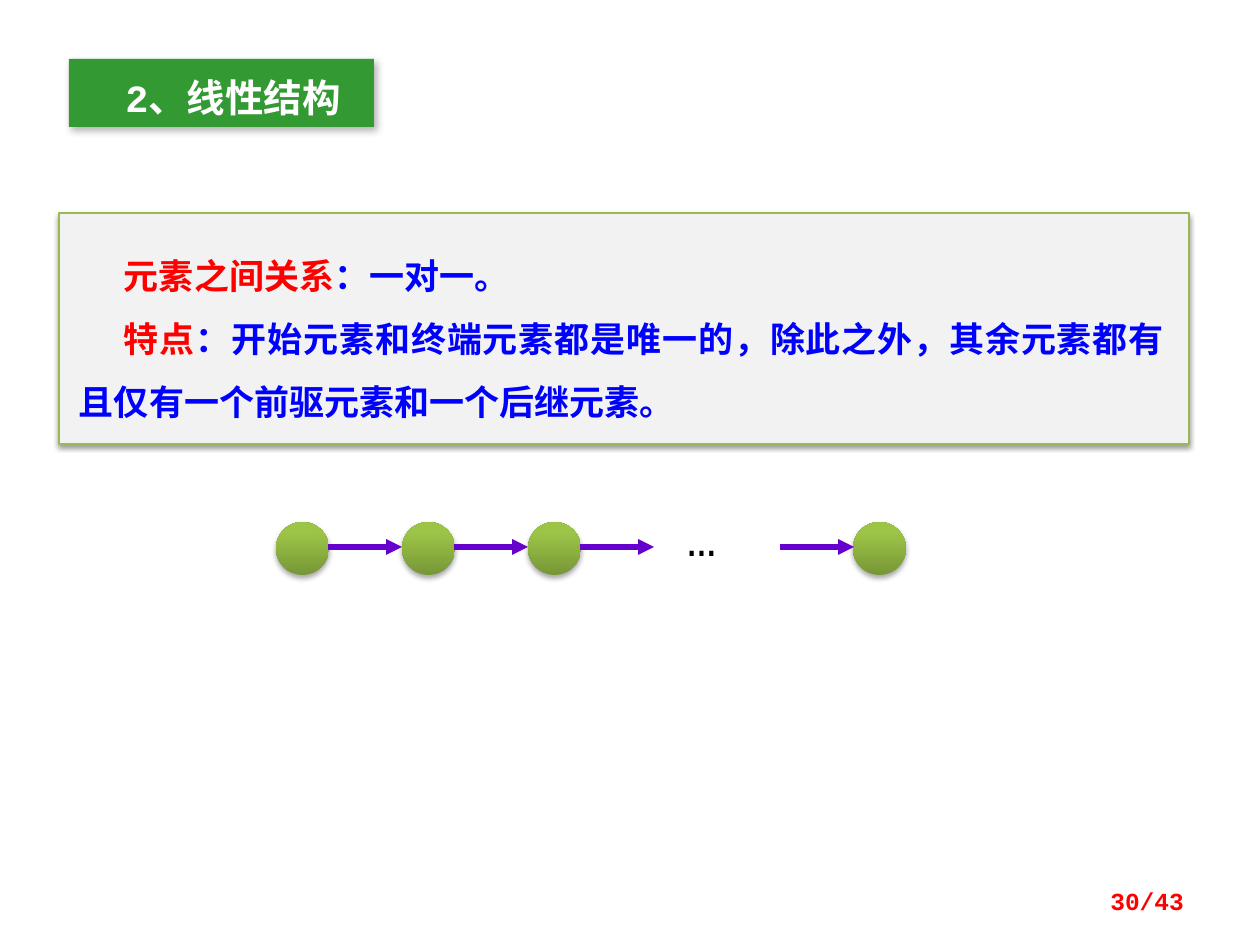
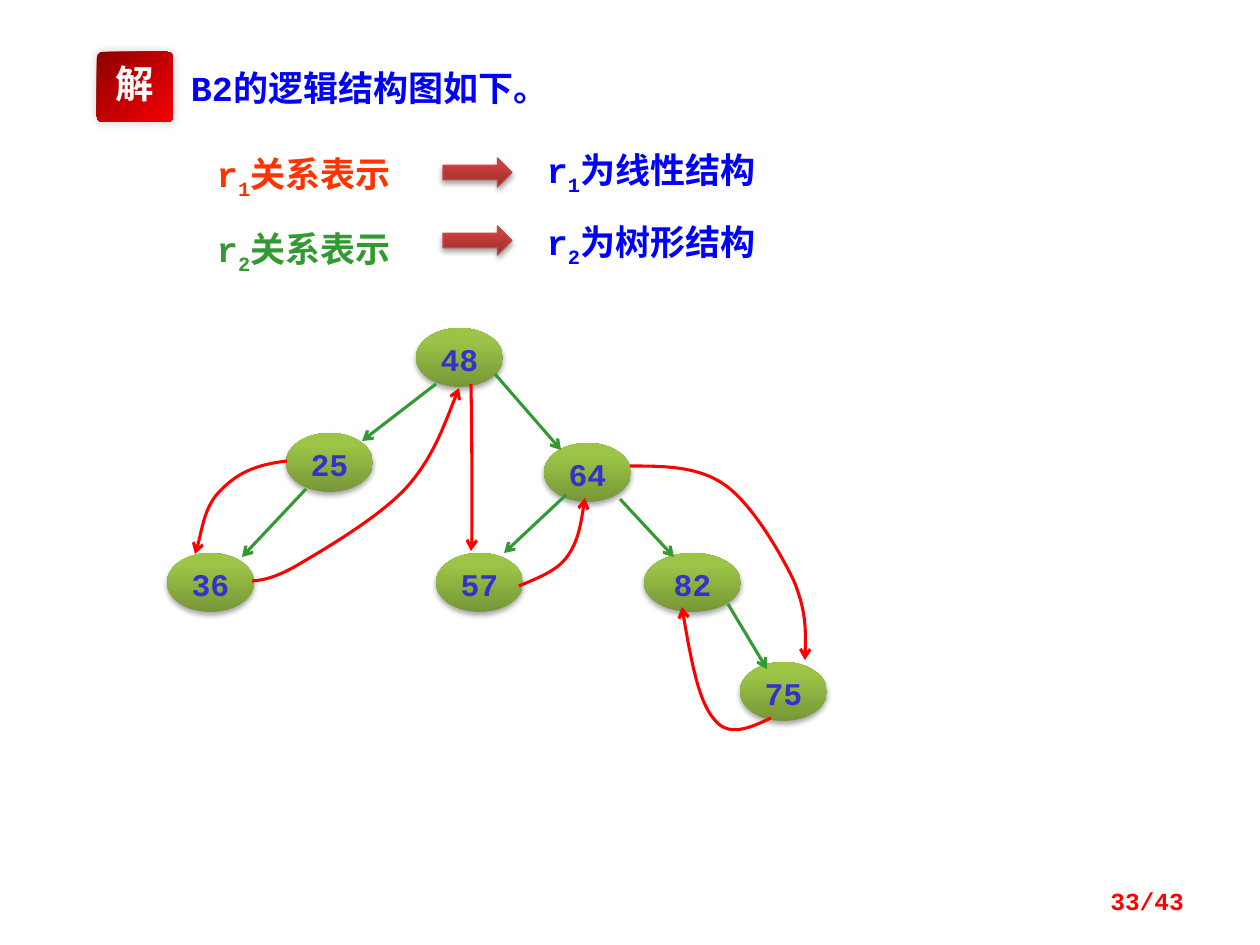
from lxml import etree
from pptx import Presentation
from pptx import util as u
from pptx.dml.color import RGBColor
from pptx.enum import shapes, text
from pptx.oxml import ns

PX = 914400 / 126
MONO, SANS = "Courier New", "Noto Sans CJK SC"
WHITE = RGBColor(0xFF, 0xFF, 0xFF)
BLACK = RGBColor(0, 0, 0)
RED = RGBColor(0xFF, 0, 0)
BLUE = RGBColor(0, 0, 0xFF)
GREEN = RGBColor(0x33, 0x99, 0x33)
ORANGE = RGBColor(0xFF, 0x33, 0)
VIOLET = RGBColor(0x66, 0, 0xCC)
INDIGO = RGBColor(0x33, 0x33, 0xCC)
GREY = RGBColor(0xF2, 0xF2, 0xF2)
EDGE = RGBColor(0x98, 0xB9, 0x55)
RIM = RGBColor(0xBF, 0x4C, 0x48)
LEAF = (RGBColor(0x77, 0x97, 0x37), RGBColor(0x9C, 0xC4, 0x47), 0.8, 90)
BRICK = (RGBColor(0x9C, 0x2F, 0x2D), RGBColor(0xCC, 0x3E, 0x3A), 0.8, 90)
RUBY = (RGBColor(0x8F, 0, 0), RGBColor(0xF6, 0, 4), 1, 315)
SOFT = (35, 3.1, 1.8, 90)
KIND = shapes.MSO_SHAPE
ALIGN = text.PP_ALIGN
MID = text.MSO_ANCHOR.MIDDLE
PAD = (13, 6, 13, 6)


def emu(*vals):
    return [round(v * PX) for v in vals]


def sub(root, tag, **atts):
    return etree.SubElement(root, ns.qn(tag), atts)


class Deck:
    """Holds the deck's style and draws on the current slide."""

    def __init__(self):
        self.prs = Presentation()
        self.prs.slide_width, self.prs.slide_height = emu(1260, 945)

    def page(self, num):
        self.slide = self.prs.slides.add_slide(self.prs.slide_layouts[6])
        self.art = self.slide.shapes
        self.label((903, 876, 294, 50), [f"{num}/43"], RED, size=14,
                   align=ALIGN.RIGHT, anchor=MID)

    def words(self, shape, paras, color, size=20, font=MONO, bold=True,
              align=ALIGN.LEFT, anchor=text.MSO_ANCHOR.TOP, space=None,
              indent=0, pad=PAD, wrap=True):
        frame = shape.text_frame
        frame.word_wrap = wrap
        frame.vertical_anchor = anchor
        (frame.margin_left, frame.margin_top,
         frame.margin_right, frame.margin_bottom) = emu(*pad)
        for i, runs in enumerate(paras):
            para = frame.add_paragraph() if i else frame.paragraphs[0]
            para.alignment = align
            para.line_spacing = space
            if indent:
                para._p.get_or_add_pPr().set("indent", str(emu(indent)[0]))
            face = para.font
            face.name, face.size, face.bold = font, u.Pt(size), bold
            face.color.rgb = color
            for part in [runs] if isinstance(runs, str) else runs:
                piece, style = (part, None) if isinstance(part, str) else part
                run = para.add_run()
                run.text = piece
                if style == "sub":
                    run._r.get_or_add_rPr().set("baseline", "-25000")
                elif style is not None:
                    run.font.color.rgb = style

    def label(self, box, paras, color, **style):
        self.words(self.art.add_textbox(*emu(*box)), paras, color, **style)

    def shape(self, kind, box, fill, shade, line=None):
        shape = self.art.add_shape(kind, *emu(*box))
        if len(fill) == 4:
            start, end, stop, angle = fill
            shape.fill.gradient()
            shape.fill.gradient_angle = angle
            first, last = shape.fill.gradient_stops
            first.color.rgb, last.color.rgb = start, end
            first.position, last.position = 0, stop
        else:
            shape.fill.solid()
            shape.fill.fore_color.rgb = fill
        if line is None:
            shape.line.fill.background()
        else:
            shape.line.color.rgb = line
            shape.line.width = u.Pt(0.75)
        self.shade(shape, *shade)
        return shape

    def shade(self, shape, alpha, blur, dist, angle):
        shape.shadow.inherit = False
        glow = shape._element.spPr.find(ns.qn("a:effectLst"))
        cast = sub(glow, "a:outerShdw", blurRad=str(u.Pt(blur)),
                   dist=str(u.Pt(dist)), dir=str(angle * 60000),
                   algn="ctr", rotWithShape="0")
        tint = sub(cast, "a:srgbClr", val=str(BLACK))
        sub(tint, "a:alpha", val=str(alpha * 1000))

    def stroke(self, item, color, width, head):
        item.line.color.rgb = color
        item.line.width = u.Pt(width)
        sub(item._element.spPr.find(ns.qn("a:ln")), "a:tailEnd", type=head)

    def arrow(self, ends, color, width, head):
        link = self.art.add_connector(shapes.MSO_CONNECTOR.STRAIGHT, *emu(*ends))
        self.stroke(link, color, width, head)
        sub(link._element.spPr, "a:effectLst")

    def curve(self, *dots):
        start, *rest = [emu(*dot) for dot in dots]
        build = self.art.build_freeform(*start, scale=1.0)
        build.add_line_segments(rest, close=False)
        shape = build.convert_to_shape()
        trail = next(shape._element.iter(ns.qn("a:path")))
        legs = trail.findall(ns.qn("a:lnTo"))
        for i in range(0, len(legs), 3):
            bend = sub(trail, "a:cubicBezTo")
            for leg in legs[i:i + 3]:
                bend.append(leg[0])
                trail.remove(leg)
        shape.fill.background()
        shape.shadow.inherit = False
        self.stroke(shape, RED, 1.75, "arrow")

    def node(self, box, name=None):
        shape = self.shape(KIND.OVAL, box, LEAF, SOFT)
        if name:
            self.words(shape, [name], INDIGO, size=18, align=ALIGN.CENTER,
                       anchor=MID, space=1.1, pad=(0, 0, 0, 0))


def linear(deck):
    deck.page(30)
    panel = deck.shape(KIND.RECTANGLE, (59, 213, 1130, 231), GREY,
                       (38, 3.1, 1.6, 90), EDGE)
    deck.words(panel, [
        [("元素之间关系", RED), "：一对一。"],
        [("特点", RED), "：开始元素和终端元素都是唯一的，除此之外，"
         "其余元素都有且仅有一个前驱元素和一个后继元素。"],
    ], BLUE, align=ALIGN.JUSTIFY, space=1.5, indent=45, pad=(20, 20, 25, 20))
    for x in (276, 402, 528, 853):
        deck.node((x, 522, 53, 53))
    for x in (328, 454, 580, 780):
        deck.arrow((x, 547, x + 74, 547), VIOLET, 3, "triangle")
    deck.label((674, 501, 83, 72), ["…"], BLACK, size=28, bold=False)
    title = deck.shape(KIND.RECTANGLE, (69, 59, 305, 68), GREEN,
                       (30, 4.5, 2.6, 53))
    deck.words(title, ["2、线性结构"], WHITE, size=22, align=ALIGN.CENTER,
               pad=(36, 15, 13, 6))


def tree(deck):
    deck.page(33)
    for name, x, y, wide in (
            ("48", 416, 328, 87), ("25", 286, 433, 87), ("36", 167, 553, 87),
            ("64", 544, 443, 87), ("57", 436, 553, 87), ("82", 644, 553, 97),
            ("75", 740, 662, 87)):
        deck.node((x, y, wide, 59), name)
    for ends in ((436, 384, 362, 441), (306, 489, 242, 557),
                 (495, 374, 561, 450), (620, 499, 674, 557),
                 (566, 495, 504, 553), (728, 604, 767, 669)):
        deck.arrow(ends, GREEN, 1.75, "arrow")
    deck.curve((287, 461), (252, 465), (236, 475), (221, 490),
               (205, 505), (200, 541), (195, 554))
    deck.curve((252, 581), (263, 580), (276, 578), (301, 563),
               (328, 547), (379, 517), (406, 488),
               (432, 459), (445, 423), (459, 388))
    deck.curve((471, 384), (472, 437), (472, 490), (472, 518),
               (472, 546), (472, 548), (471, 551))
    deck.curve((519, 586), (538, 578), (557, 571), (567, 557),
               (578, 542), (582, 519), (585, 498))
    deck.curve((771, 718), (750, 728), (728, 738), (714, 719),
               (699, 702), (690, 655), (682, 607))
    deck.curve((630, 466), (664, 466), (698, 466), (725, 485),
               (752, 504), (780, 552), (794, 581),
               (806, 611), (806, 636), (805, 660))
    for num, color, left, mark, right, kind in (
            ("1", ORANGE, 147, 158, 147, "线性"),
            ("2", GREEN, 222, 226, 219, "树形")):
        deck.label((204, left, 268, 44), [["r", (num, "sub"), "关系表示"]],
                   color, space=0.8, pad=(13, 10, 13, 0))
        deck.shape(KIND.RIGHT_ARROW, (443, mark, 69, 29), BRICK, SOFT, RIM)
        deck.label((534, right, 325, 47), [["r", (num, "sub"), f"为{kind}结构"]],
                   BLUE, space=0.8)
    deck.label((178, 69, 669, 47), ["B2的逻辑结构图如下。"], BLUE, space=0.8)
    badge = deck.shape(KIND.ROUNDED_RECTANGLE, (97, 52, 76, 70), RUBY,
                       (20, 6, 0, 225))
    badge.adjustments[0] = 0.08
    deck.words(badge, ["解"], WHITE, size=22, font=SANS, align=ALIGN.CENTER,
               anchor=MID, space=0.8, wrap=False)


def main():
    deck = Deck()
    linear(deck)
    tree(deck)
    deck.prs.save("out.pptx")


if __name__ == "__main__":
    main()
